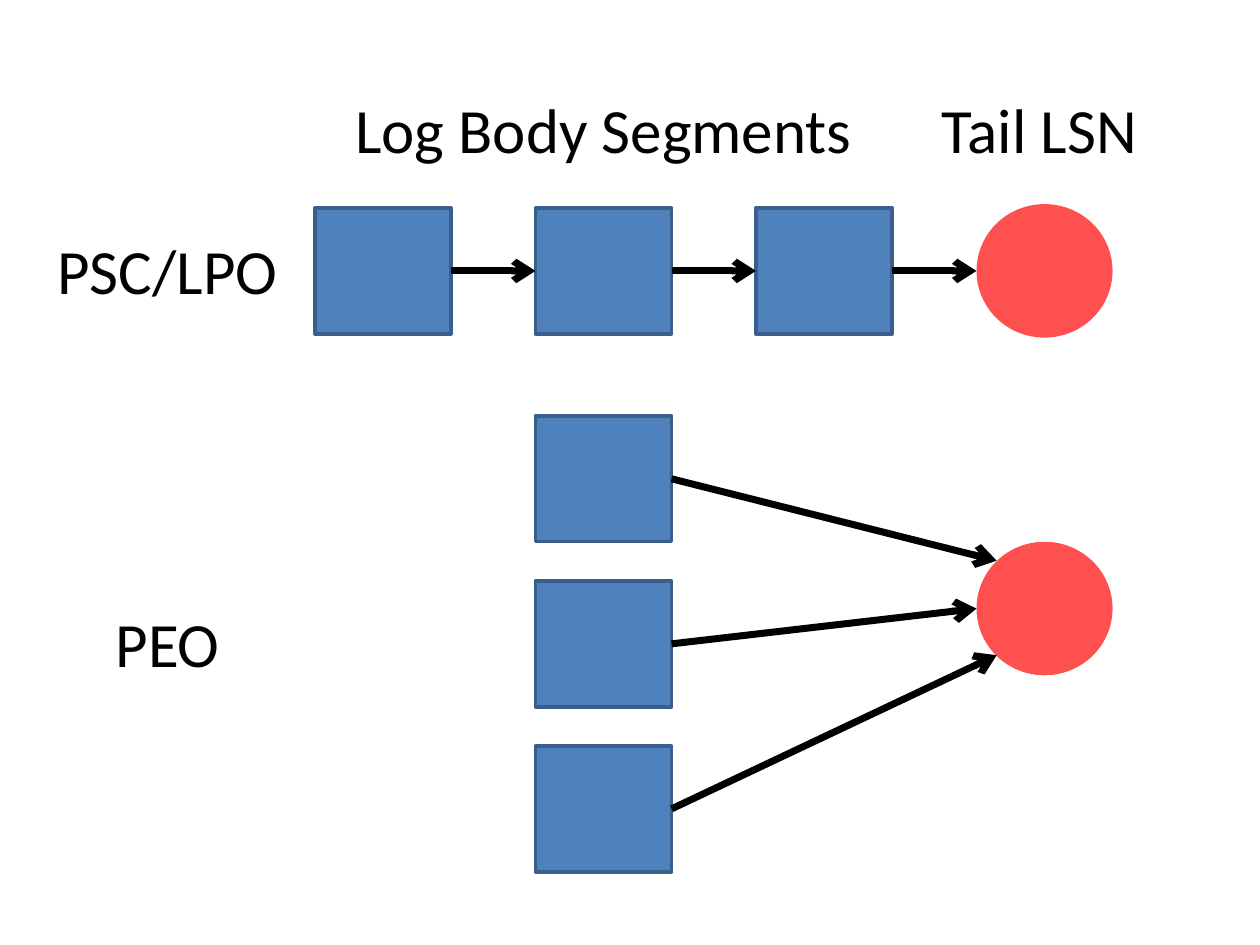
from lxml import etree
from pptx import Presentation
from pptx.dml.color import RGBColor
from pptx.enum.shapes import MSO_CONNECTOR, MSO_SHAPE
from pptx.enum.text import MSO_AUTO_SIZE, PP_ALIGN
from pptx.oxml.ns import qn
from pptx.util import Inches, Pt

RECTANGLE = MSO_SHAPE.RECTANGLE
ELLIPSE = MSO_SHAPE.OVAL
STRAIGHT = MSO_CONNECTOR.STRAIGHT
CENTER = PP_ALIGN.CENTER
GROW = MSO_AUTO_SIZE.SHAPE_TO_FIT_TEXT
LEFT_SIDE, RIGHT_SIDE = 1, 3

SEGMENT_WIDTH, SEGMENT_HEIGHT = 1.08, 1
TAIL_WIDTH, TAIL_HEIGHT = 1.08, 1.06
TAIL_LEFT = 7.75
CHAIN_TOP = 1.65
COLUMN_LEFT, COLUMN_TOP, COLUMN_STEP = 4.25, 3.3, 1.31
CHAIN_LEFT, CHAIN_STEP = 2.5, 1.75


def color(value):
    return RGBColor.from_string(value)


class LogDiagram:
    font = "Calibri"
    text_size = 36
    ink = "000000"
    segment_fill = "4F81BD"
    segment_line = "3A5F8C"
    tail_fill = "FF5050"

    def __init__(self, slide):
        self.shapes = slide.shapes

    def filled_shape(self, kind, left, top, width, height, fill):
        shape = self.shapes.add_shape(
            kind, Inches(left), Inches(top), Inches(width), Inches(height))
        shape.shadow.inherit = False
        shape.fill.solid()
        shape.fill.fore_color.rgb = color(fill)
        return shape

    def segment(self, left, top):
        shape = self.filled_shape(
            RECTANGLE, left, top, SEGMENT_WIDTH, SEGMENT_HEIGHT, self.segment_fill)
        shape.line.color.rgb = color(self.segment_line)
        shape.line.width = Pt(2)
        return shape

    def tail(self, top):
        shape = self.filled_shape(
            ELLIPSE, TAIL_LEFT, top, TAIL_WIDTH, TAIL_HEIGHT, self.tail_fill)
        shape.line.fill.background()
        return shape

    def arrow(self, segment, end_x, end_y, target=None):
        connector = self.shapes.add_connector(
            STRAIGHT, segment.left + segment.width,
            segment.top + segment.height // 2, Inches(end_x), Inches(end_y))
        connector.begin_connect(segment, RIGHT_SIDE)
        if target is not None:
            connector.end_connect(target, LEFT_SIDE)
        connector.line.color.rgb = color(self.ink)
        connector.line.width = Pt(4)
        line = connector.line._get_or_add_ln()
        etree.SubElement(line, qn("a:tailEnd"), type="arrow")
        etree.SubElement(connector._element.spPr, qn("a:effectLst"))

    def label(self, text, left, top, width):
        box = self.shapes.add_textbox(
            Inches(left), Inches(top), Inches(width), Inches(0.71))
        frame = box.text_frame
        frame.word_wrap = True
        frame.auto_size = GROW
        paragraph = frame.paragraphs[0]
        paragraph.alignment = CENTER
        run = paragraph.add_run()
        run.text = text
        run.font.name = self.font
        run.font.size = Pt(self.text_size)
        run.font.color.rgb = color(self.ink)


def main():
    presentation = Presentation()
    presentation.slide_width = Inches(10)
    presentation.slide_height = Inches(7.5)
    slide = presentation.slides.add_slide(presentation.slide_layouts[6])
    diagram = LogDiagram(slide)

    chain = [diagram.segment(CHAIN_LEFT + index * CHAIN_STEP, CHAIN_TOP)
             for index in range(3)]
    diagram.tail(1.62)
    chain_middle = CHAIN_TOP + SEGMENT_HEIGHT / 2
    for index, segment in enumerate(chain):
        following = chain[index + 1] if index < len(chain) - 1 else None
        end_x = CHAIN_LEFT + (index + 1) * CHAIN_STEP
        diagram.arrow(segment, end_x, chain_middle, following)

    diagram.label("Log Body Segments", 2.33, 0.67, 4.92)
    diagram.label("Tail LSN", 7, 0.67, 2.5)

    diagram.tail(4.3)
    column = [diagram.segment(COLUMN_LEFT, COLUMN_TOP + index * COLUMN_STEP)
              for index in range(3)]
    tail_points = [(7.91, 4.45), (TAIL_LEFT, 4.83), (7.91, 5.2)]
    for segment, (end_x, end_y) in zip(column, tail_points):
        diagram.arrow(segment, end_x, end_y)

    diagram.label("PSC/LPO", 0.08, 1.79, 2.5)
    diagram.label("PEO", 0.08, 4.75, 2.5)

    presentation.save("out.pptx")


if __name__ == "__main__":
    main()
